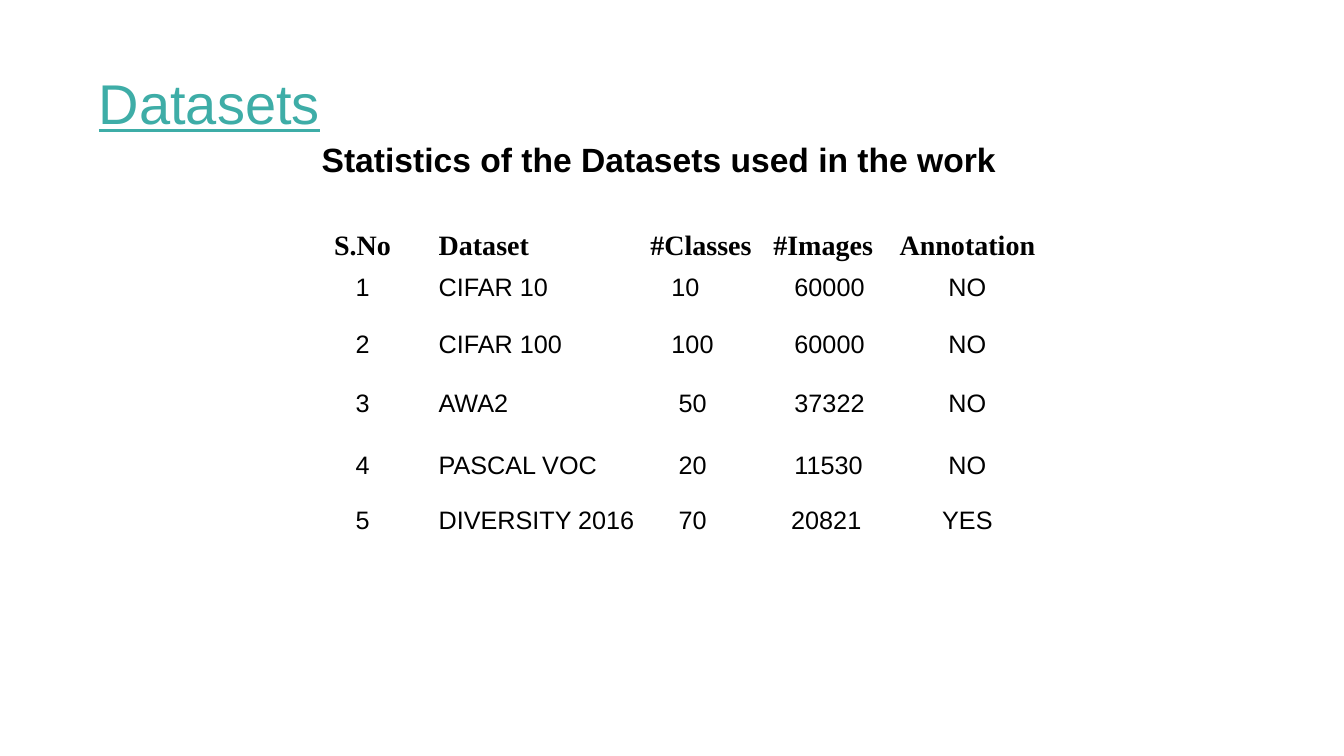
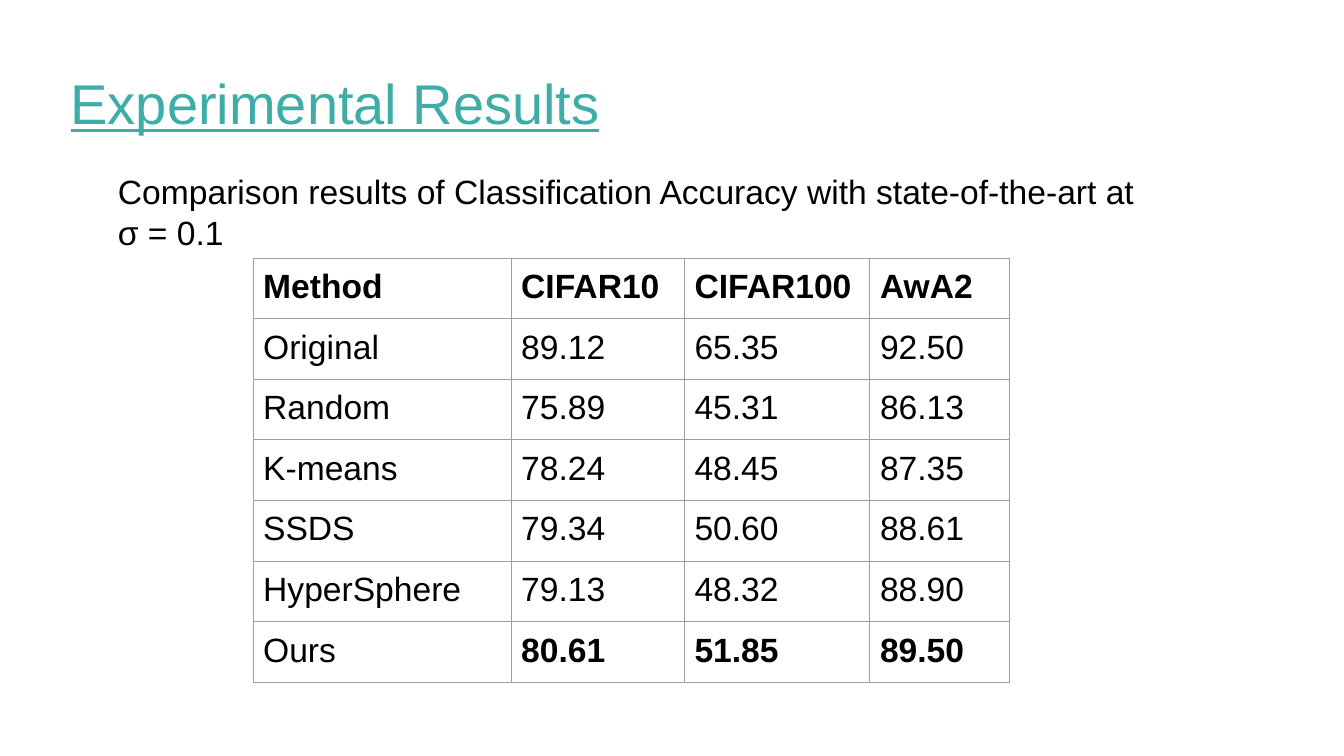
from dataclasses import dataclass, replace
from typing import Any, Optional

from lxml.etree import SubElement
from pptx import Presentation
from pptx.dml.color import RGBColor
from pptx.enum.text import MSO_ANCHOR as Anchor, MSO_AUTO_SIZE as AutoSize, PP_ALIGN as Align
from pptx.oxml.ns import qn
from pptx.util import Emu, Inches, Pt

TEAL = RGBColor(0x3E, 0xAD, 0xA7)
BLACK = RGBColor(0x00, 0x00, 0x00)
GREY = RGBColor(0x9E, 0x9E, 0x9E)

WIDTH, HEIGHT = Inches(13.33), Inches(7.5)
TITLE_ONLY = 5
RIGHT_EDGE = 93.33  # where titles end, in percent of the slide width

TITLE_FONT = {"name": "Arial", "size": Pt(40), "underline": True}
CAPTION_FONT = {"name": "Arial", "size": Pt(24)}
HEADING_FONT = {"name": "Times New Roman", "size": Pt(20), "bold": True}
BODY_FONT = {"name": "Arial", "size": Pt(18)}
FRAME = {"word_wrap": True, "auto_size": AutoSize.NONE, "vertical_anchor": Anchor.TOP,
         "margin_left": Inches(0.01), "margin_top": Inches(0.01),
         "margin_right": 0, "margin_bottom": 0}


@dataclass(frozen=True)
class Box:
    """A place on the slide, in percent of its width and height."""
    left: float
    top: float
    width: float
    height: float


@dataclass(frozen=True)
class Entry:
    """One table cell; insets are in inches."""
    text: str
    font: dict[str, Any]
    align: Align = Align.LEFT
    left: float = 0
    top: float = 0
    other: float = 0
    spacing: float = 1.0


@dataclass(frozen=True)
class Grid:
    """A table; places and sizes are in percent of the slide."""
    left: float
    top: float
    columns: list[float]
    rows: list[float]
    entries: list[list[Entry]]
    border: Optional[RGBColor] = None


def across(percent: float) -> Emu:
    return Emu(round(WIDTH * percent / 100))


def down(percent: float) -> Emu:
    return Emu(round(HEIGHT * percent / 100))


def apply(target: Any, values: dict[str, Any]) -> None:
    for name, value in values.items():
        setattr(target, name, value)


def write(paragraph: Any, text: str, font: dict[str, Any], colour: RGBColor = BLACK) -> None:
    run = paragraph.add_run()
    run.text = text
    apply(run.font, font)
    run.font.color.rgb = colour


def add_title(prs: Any, text: str, left: float) -> Any:
    slide = prs.slides.add_slide(prs.slide_layouts[TITLE_ONLY])
    title = slide.shapes.title
    apply(title, {"left": across(left), "top": down(8.93),
                  "width": across(RIGHT_EDGE - left), "height": down(9.2)})
    apply(title.text_frame, FRAME)
    paragraph = title.text_frame.paragraphs[0]
    paragraph.alignment = Align.LEFT
    write(paragraph, text, TITLE_FONT, TEAL)
    return slide


def add_caption(slide: Any, text: str, box: Box, bold: bool = False) -> None:
    caption = slide.shapes.add_textbox(across(box.left), down(box.top),
                                       across(box.width), down(box.height))
    apply(caption.text_frame, FRAME)
    write(caption.text_frame.paragraphs[0], text, CAPTION_FONT | {"bold": bold})


def set_borders(cell: Any, colour: Optional[RGBColor]) -> None:
    properties = cell._tc.get_or_add_tcPr()
    for side in ("a:lnL", "a:lnR", "a:lnT", "a:lnB"):
        line = SubElement(properties, qn(side), w=str(Pt(0.75)))
        if colour is None:
            SubElement(line, qn("a:noFill"))
        else:
            fill = SubElement(line, qn("a:solidFill"))
            SubElement(fill, qn("a:srgbClr"), val=str(colour))


def add_grid(slide: Any, grid: Grid) -> None:
    table = slide.shapes.add_table(
        len(grid.rows), len(grid.columns), across(grid.left), down(grid.top),
        across(sum(grid.columns)), down(sum(grid.rows))).table
    apply(table, {"first_row": False, "horz_banding": False})
    for column, width in zip(table.columns, grid.columns):
        column.width = across(width)
    for row, height, entries in zip(table.rows, grid.rows, grid.entries):
        row.height = down(height)
        for cell, entry in zip(row.cells, entries):
            apply(cell, {"margin_left": Inches(entry.left), "margin_top": Inches(entry.top),
                         "margin_right": Inches(entry.other),
                         "margin_bottom": Inches(entry.other)})
            set_borders(cell, grid.border)
            cell.fill.background()
            paragraph = cell.text_frame.paragraphs[0]
            apply(paragraph, {"alignment": entry.align, "line_spacing": entry.spacing})
            write(paragraph, entry.text, entry.font)


def add_datasets(prs: Any) -> None:
    slide = add_title(prs, "Datasets", 7.28)
    add_caption(slide, "Statistics of the Datasets used in the work",
                Box(23.86, 18.27, 55.81, 8.67), bold=True)

    # Alignment and left inset of each column
    headings = ["S.No", "Dataset", "#Classes", "#Images", "Annotation"]
    aligns = [Align.CENTER, Align.LEFT, Align.LEFT, Align.LEFT, Align.CENTER]
    heading_insets = [0, 0.12, 0, 0, 0.13]
    body_insets = [0, 0.12, 0.28, 0.21, 0.13]
    datasets = [
        ("CIFAR 10", "10", "60000", "NO"),
        ("CIFAR 100", "100", "60000", "NO"),
        ("AWA2", "50", "37322", "NO"),
        ("PASCAL VOC", "20", "11530", "NO"),
        ("DIVERSITY 2016", "70", "20821", "YES"),
    ]
    entries = [[Entry(text, HEADING_FONT, align, inset, spacing=1.09)
                for text, align, inset in zip(headings, aligns, heading_insets)]]
    entries += [[Entry(text, BODY_FONT, align, inset, top=0.04)
                 for text, align, inset in zip((str(number), *dataset), aligns, body_insets)]
                for number, dataset in enumerate(datasets, 1)]

    # The CIFAR class counts sit further left; the last image count is centred
    for cifar in entries[1:3]:
        cifar[2] = replace(cifar[2], left=0.21)
    entries[-1][3] = replace(entries[-1][3], align=Align.CENTER, left=0)

    add_grid(slide, Grid(22.21, 30.13, [9.53, 16.65, 9.15, 7.88, 12.15],
                         [5.6, 7.47, 7.87, 8.13, 7.33, 8], entries))


def add_results(prs: Any) -> None:
    slide = add_title(prs, "Experimental Results", 5.18)
    add_caption(slide, "Comparison results of Classification Accuracy with "
                       "state-of-the-art at σ = 0.1", Box(8.7, 22.53, 76.44, 11.6))

    accuracies = [
        ("Method", "CIFAR10", "CIFAR100", "AwA2"),
        ("Original", "89.12", "65.35", "92.50"),
        ("Random", "75.89", "45.31", "86.13"),
        ("K-means", "78.24", "48.45", "87.35"),
        ("SSDS", "79.34", "50.60", "88.61"),
        ("HyperSphere", "79.13", "48.32", "88.90"),
        ("Ours", "80.61", "51.85", "89.50"),
    ]
    # Headings and our own accuracies are bold
    entries = [[Entry(text, CAPTION_FONT | {"bold": method == "Method" or
                                            (method == "Ours" and text != method)},
                      left=0.1, top=0.1, other=0.1)
                for text in (method, *values)]
               for method, *values in accuracies]
    add_grid(slide, Grid(18.83, 34.13, [19.2, 12.9, 13.8, 10.35],
                         [8.02] * len(accuracies), entries, GREY))


def main() -> None:
    prs = Presentation()
    apply(prs, {"slide_width": WIDTH, "slide_height": HEIGHT})
    add_datasets(prs)
    add_results(prs)
    prs.save("out.pptx")


if __name__ == "__main__":
    main()
